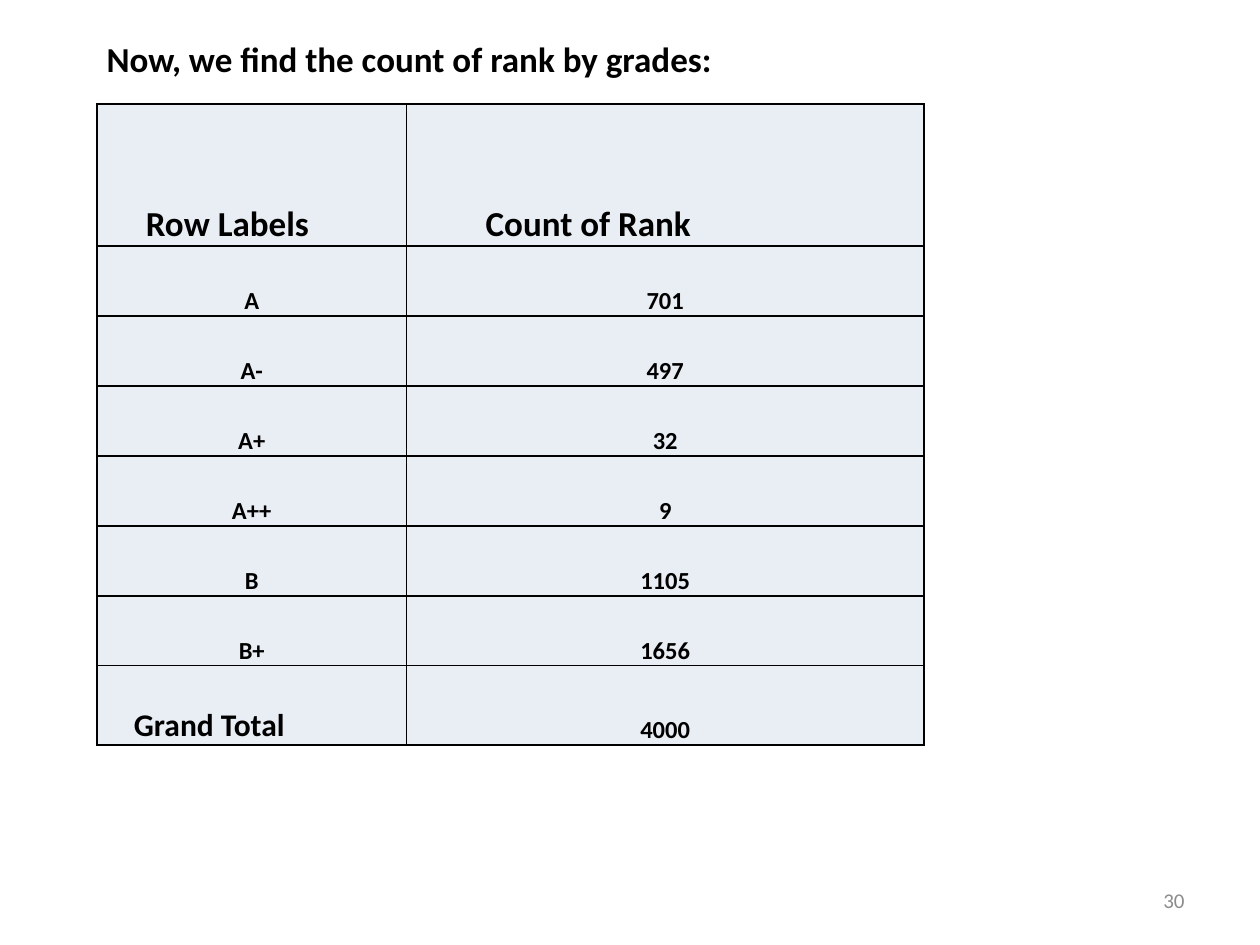
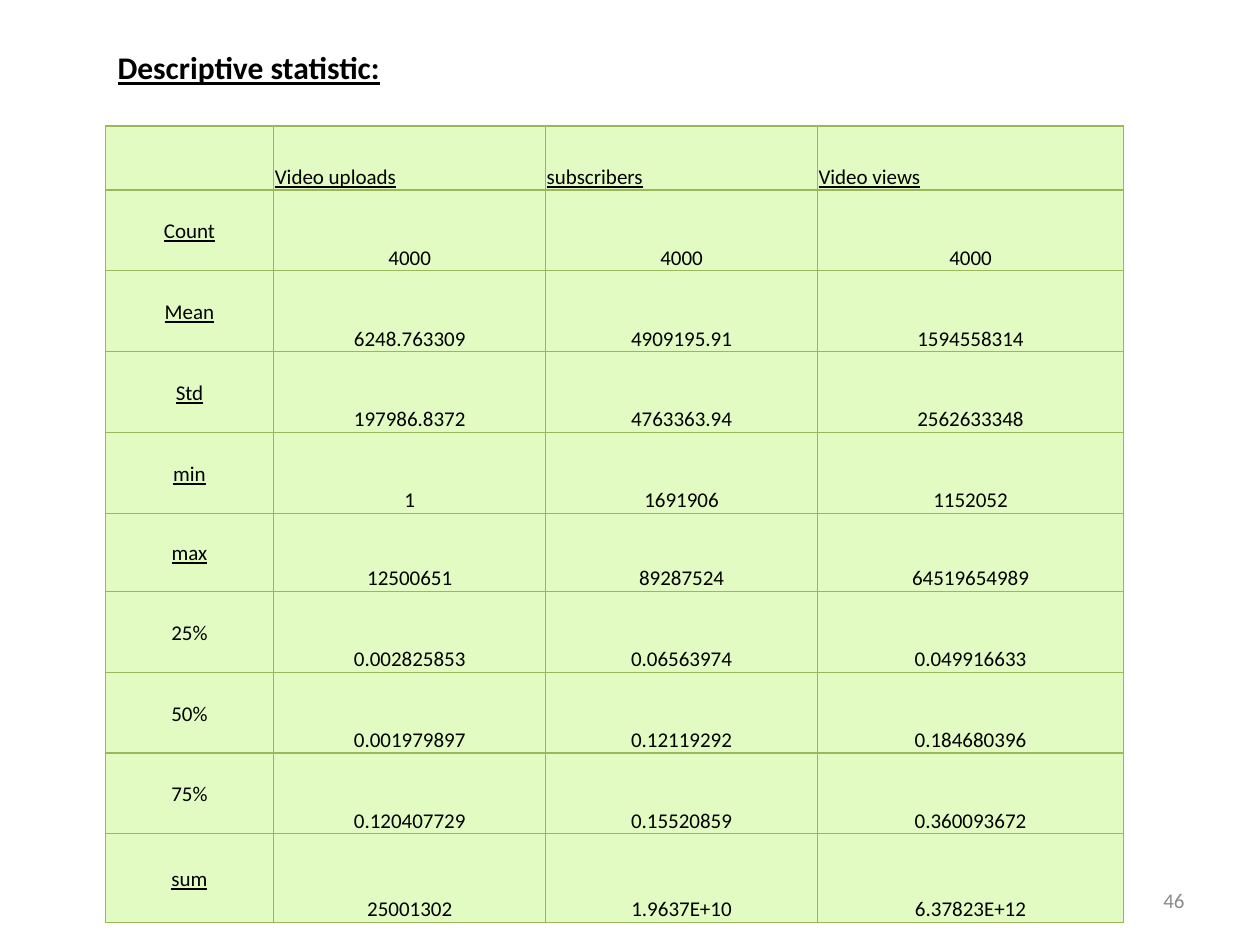
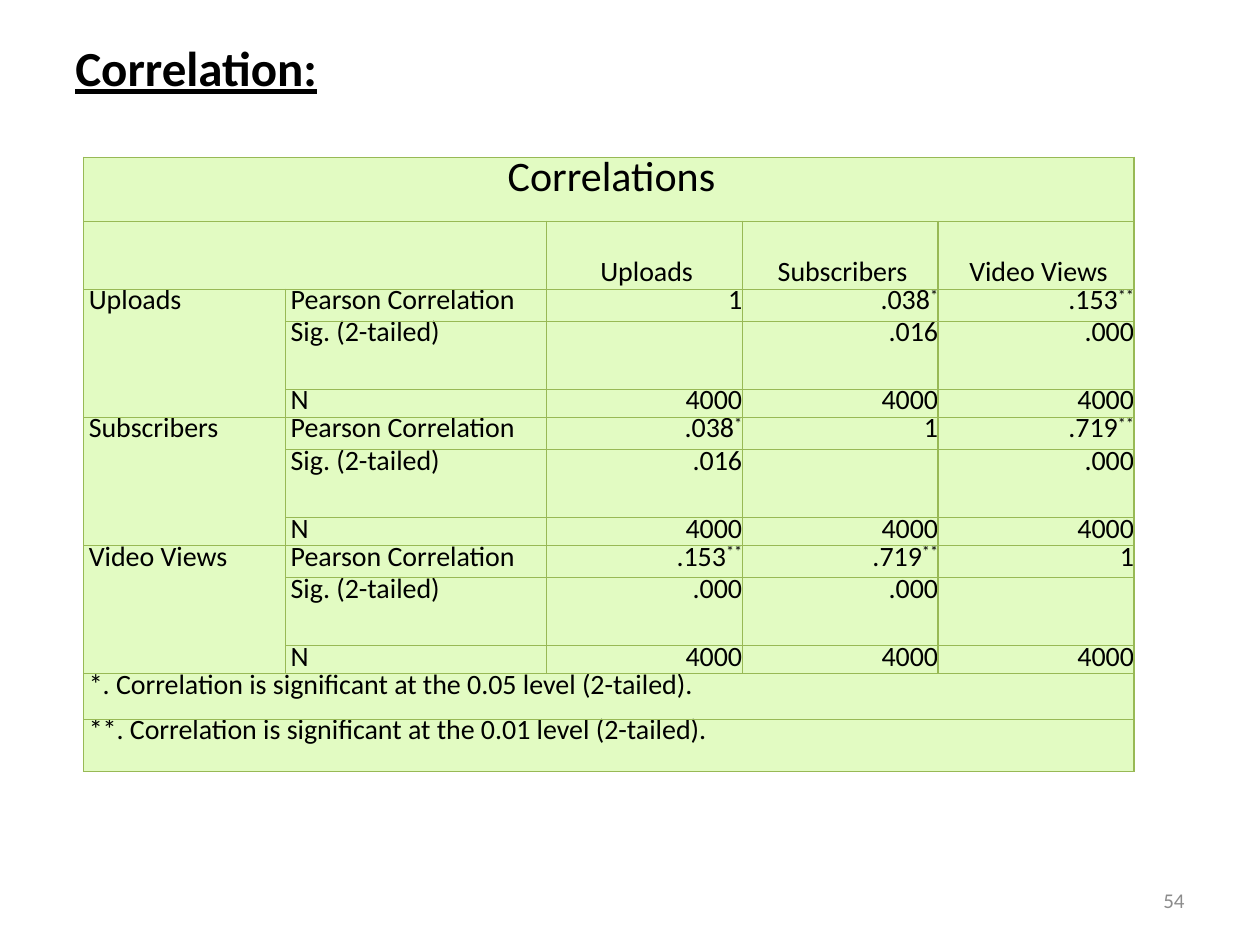
from dataclasses import dataclass, replace

from lxml import etree
from pptx import Presentation
from pptx.dml.color import RGBColor
from pptx.enum.text import MSO_ANCHOR, PP_ALIGN
from pptx.oxml.ns import qn
from pptx.util import Cm, Length, Pt

LEFT, CENTER, RIGHT, JUSTIFY = PP_ALIGN.LEFT, PP_ALIGN.CENTER, PP_ALIGN.RIGHT, PP_ALIGN.JUSTIFY
TOP, MIDDLE, BOTTOM = MSO_ANCHOR.TOP, MSO_ANCHOR.MIDDLE, MSO_ANCHOR.BOTTOM

FONT = "Calibri"
COLORS = {
    "text": "000000",
    "page_number": "8C8C8C",
    "rank_fill": "E9EDF4",
    "rank_border": "000000",
    "green_fill": "E2FBC2",
    "green_border": "98B955",
}


@dataclass(frozen=True)
class TextStyle:
    size: int
    bold: bool = False
    underline: bool = False
    color: str = "text"
    align: PP_ALIGN = LEFT
    anchor: MSO_ANCHOR = TOP
    indent: float = 0
    spacing: float | Length | None = None
    inset: float = 0


@dataclass(frozen=True)
class Entry:
    text: str
    style: TextStyle


@dataclass(frozen=True)
class TextBox:
    left: float
    top: float
    width: float
    height: float
    entry: Entry
    wrap: bool = True


@dataclass(frozen=True)
class Grid:
    left: float
    top: float
    columns: list[float]
    rows: list[float]
    entries: list[list[Entry | None]]
    fill: str
    border: str
    border_width: float
    merges: tuple[tuple[int, int, int, int], ...] = ()


@dataclass(frozen=True)
class PageContent:
    title: TextBox
    grid: Grid
    number: int


NUMBER = TextStyle(12, color="page_number", align=RIGHT, anchor=MIDDLE)

RANK_VALUE = TextStyle(14, bold=True, align=CENTER, anchor=BOTTOM, spacing=1.07, inset=0.02)
RANK_HEAD = replace(RANK_VALUE, size=20, align=LEFT)

STAT_VALUE = replace(RANK_VALUE, size=12, bold=False)
STAT_HEAD = replace(STAT_VALUE, underline=True, align=JUSTIFY)
STAT_LABEL = replace(STAT_VALUE, anchor=MIDDLE)

PAIR_LABEL = TextStyle(16, indent=0.1, spacing=Pt(16))
PAIR_VALUE = replace(PAIR_LABEL, align=RIGHT)
PAIR_HEAD = replace(PAIR_LABEL, align=CENTER, anchor=BOTTOM)
PAIR_TITLE = replace(PAIR_HEAD, size=24, anchor=MIDDLE)

GRADES = [("A", "701"), ("A-", "497"), ("A+", "32"), ("A++", "9"), ("B", "1105"), ("B+", "1656")]

STATISTICS = [
    ("Count", "4000", "4000", "4000"),
    ("Mean", "6248.763309", "4909195.91", "1594558314"),
    ("Std", "197986.8372", "4763363.94", "2562633348"),
    ("min", "1", "1691906", "1152052"),
    ("max", "12500651", "89287524", "64519654989"),
    ("25%", "0.002825853", "0.06563974", "0.049916633"),
    ("50%", "0.001979897", "0.12119292", "0.184680396"),
    ("75%", "0.120407729", "0.15520859", "0.360093672"),
    ("sum", "25001302", "1.9637E+10", "6.37823E+12"),
]

MEASURES = ["Pearson Correlation", "Sig. (2-tailed)", "N"]
CORRELATIONS = {
    "Uploads": [("1", ".038*", ".153**"), ("", ".016", ".000")],
    "Subscribers": [(".038*", "1", ".719**"), (".016", "", ".000")],
    "Video Views": [(".153**", ".719**", "1"), (".000", ".000", "")],
}
SAMPLE_SIZES = ("4000", "4000", "4000")
FOOTNOTES = [
    "*. Correlation is significant at the 0.05 level (2-tailed).",
    "**. Correlation is significant at the 0.01 level (2-tailed).",
]


def rgb(name: str) -> RGBColor:
    return RGBColor.from_string(COLORS[name])


def add_span(para, text: str, style: TextStyle, raised: bool = False) -> None:
    span = para.add_run()
    span.text = text
    span.font.name = FONT
    span.font.size = Pt(style.size)
    span.font.bold = style.bold
    span.font.underline = style.underline
    span.font.color.rgb = rgb(style.color)
    if raised:
        span._r.get_or_add_rPr().set("baseline", "30000")


def write(para, entry: Entry) -> None:
    style = entry.style
    para.alignment = style.align
    if style.spacing:
        para.line_spacing = style.spacing
    if style.indent:
        para._p.get_or_add_pPr().set("marL", str(Cm(style.indent)))
    base = entry.text.rstrip("*")
    add_span(para, base, style)
    stars = entry.text[len(base):]
    if stars:
        add_span(para, stars, style, raised=True)


def draw_text_box(page, spec: TextBox) -> None:
    box = page.shapes.add_textbox(Cm(spec.left), Cm(spec.top), Cm(spec.width), Cm(spec.height))
    frame = box.text_frame
    frame.word_wrap = spec.wrap
    frame.vertical_anchor = spec.entry.style.anchor
    write(frame.paragraphs[0], spec.entry)


def paint_cell(cell, grid: Grid) -> None:
    properties = cell._tc.get_or_add_tcPr()
    for side in ("a:lnL", "a:lnR", "a:lnT", "a:lnB"):
        line = etree.SubElement(properties, qn(side), w=str(Pt(grid.border_width)))
        paint = etree.SubElement(line, qn("a:solidFill"))
        etree.SubElement(paint, qn("a:srgbClr"), val=COLORS[grid.border])
    cell.fill.solid()
    cell.fill.fore_color.rgb = rgb(grid.fill)


def fill_cell(cell, entry: Entry) -> None:
    inset = Cm(entry.style.inset)
    cell.margin_left = cell.margin_right = cell.margin_top = inset
    cell.margin_bottom = 0
    cell.vertical_anchor = entry.style.anchor
    write(cell.text_frame.paragraphs[0], entry)


def draw_grid(page, grid: Grid) -> None:
    table = page.shapes.add_table(
        len(grid.rows), len(grid.columns), Cm(grid.left), Cm(grid.top),
        Cm(sum(grid.columns)), Cm(sum(grid.rows)),
    ).table
    table.first_row = table.horz_banding = False
    for column, width in zip(table.columns, grid.columns):
        column.width = Cm(width)
    for row, height, entries in zip(table.rows, grid.rows, grid.entries):
        row.height = Cm(height)
        for cell, entry in zip(row.cells, entries):
            paint_cell(cell, grid)
            if entry and entry.text:
                fill_cell(cell, entry)
    for top, left, bottom, right in grid.merges:
        table.cell(top, left).merge(table.cell(bottom, right))


def draw_page(deck, content: PageContent) -> None:
    page = deck.slides.add_slide(deck.slide_layouts[6])
    draw_text_box(page, content.title)
    draw_grid(page, content.grid)
    draw_text_box(page, TextBox(18.2, 17.65, 5.93, 1.01, Entry(str(content.number), NUMBER)))


def rank_grid() -> Grid:
    entries = [[Entry("Row Labels", replace(RANK_HEAD, indent=0.96)),
                Entry("Count of Rank", replace(RANK_HEAD, indent=1.58))]]
    entries += [[Entry(text, RANK_VALUE) for text in grade] for grade in GRADES]
    entries.append([Entry("Grand Total", replace(RANK_HEAD, size=18, indent=0.72)),
                    Entry("4000", RANK_VALUE)])
    return Grid(1.96, 2.1, [6.23, 10.44], [2.86] + [1.41] * len(GRADES) + [1.6],
                entries, "rank_fill", "rank_border", 1)


def statistic_grid() -> Grid:
    heads = ["Video uploads", "subscribers", "Video views"]
    entries = [[None] + [Entry(head, STAT_HEAD) for head in heads]]
    for label, *values in STATISTICS:
        label_style = replace(STAT_LABEL, underline=not label.endswith("%"))
        entries.append([Entry(label, label_style)] + [Entry(value, STAT_VALUE) for value in values])
    rows = [1.29] + [1.63] * 4 + [1.57] + [1.63] * 3 + [1.78]
    return Grid(2.12, 2.54, [3.4, 5.48, 5.48, 6.17], rows,
                entries, "green_fill", "green_border", 0.75)


def correlation_grid() -> Grid:
    blank = [None] * 4
    entries = [[Entry("Correlations", PAIR_TITLE)] + blank,
               [None, None] + [Entry(name, PAIR_HEAD) for name in CORRELATIONS]]
    merges = [(0, 0, 0, 4), (1, 0, 1, 1)]
    for name, lines in CORRELATIONS.items():
        first = len(entries)
        merges.append((first, 0, first + 2, 0))
        for measure, values in zip(MEASURES, lines + [SAMPLE_SIZES]):
            label = Entry(name, PAIR_LABEL) if measure == MEASURES[0] else None
            entries.append([label, Entry(measure, PAIR_LABEL)]
                           + [Entry(value, PAIR_VALUE) for value in values])
    for footnote in FOOTNOTES:
        merges.append((len(entries), 0, len(entries), 4))
        entries.append([Entry(footnote, PAIR_LABEL)] + blank)
    rows = [1.29, 1.37] + [0.65, 1.37, 0.56] * len(CORRELATIONS) + [0.92, 1.05]
    return Grid(1.69, 3.17, [4.07, 5.25] + [3.95] * 3, rows,
                entries, "green_fill", "green_border", 0.75, tuple(merges))


def main() -> None:
    deck = Presentation()
    deck.slide_width, deck.slide_height = Cm(25.4), Cm(19.05)
    rank_title = Entry("Now, we find the count of rank by grades:", TextStyle(20, bold=True))
    statistic_title = Entry("Descriptive statistic:", TextStyle(18, bold=True, underline=True))
    correlation_title = Entry("Correlation:", TextStyle(28, bold=True, underline=True))
    pages = [
        PageContent(TextBox(1.9, 0.64, 20.96, 1.88, rank_title), rank_grid(), 30),
        PageContent(TextBox(2.12, 0.85, 5.84, 1.02, statistic_title, wrap=False),
                    statistic_grid(), 46),
        PageContent(TextBox(1.27, 0.64, 5.46, 1.45, correlation_title, wrap=False),
                    correlation_grid(), 54),
    ]
    for content in pages:
        draw_page(deck, content)
    deck.save("out.pptx")


if __name__ == "__main__":
    main()
